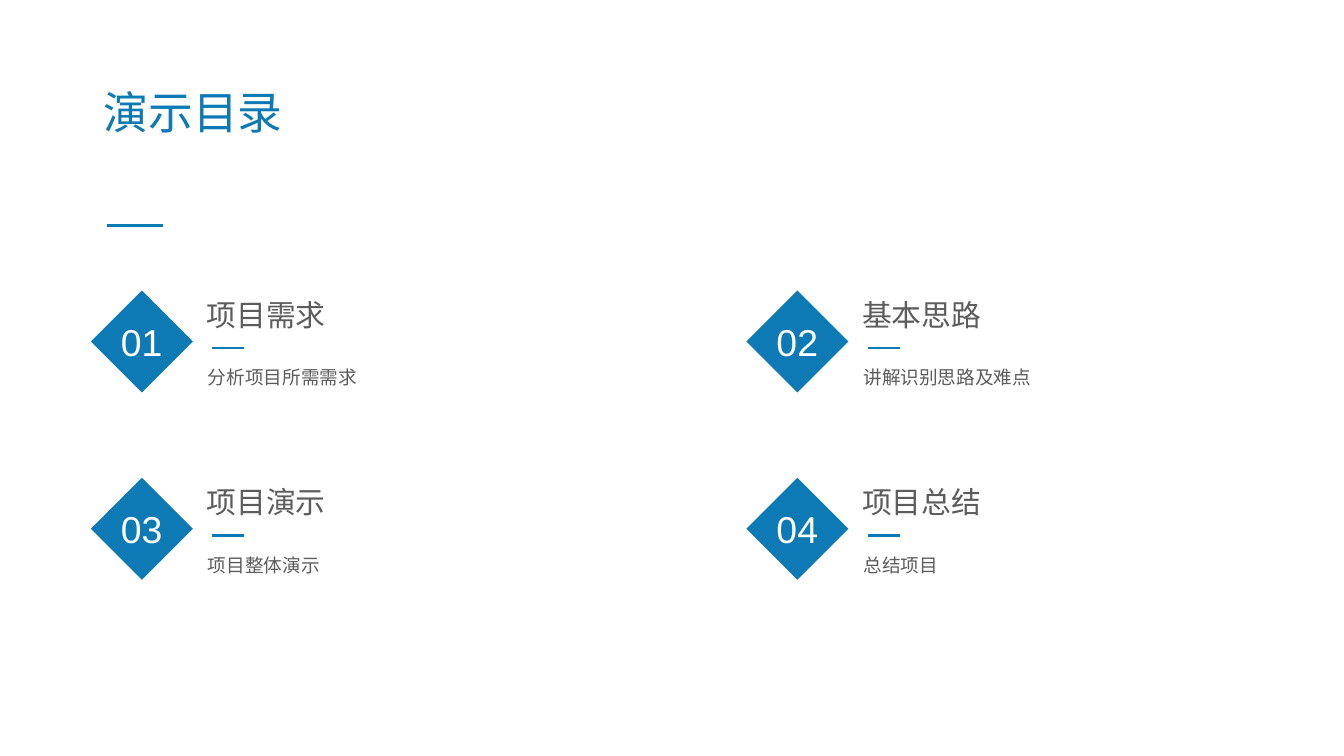
from lxml.etree import SubElement
from pptx import Presentation
from pptx.dml.color import RGBColor
from pptx.enum.shapes import MSO_CONNECTOR, MSO_SHAPE
from pptx.enum.text import MSO_ANCHOR, MSO_AUTO_SIZE, PP_ALIGN
from pptx.oxml.ns import qn
from pptx.util import Cm, Pt

BLUE = "0D7AB5"
GRAY = "5C5C5C"
WHITE = "FFFFFF"
FONT = "Arial"

TOPICS = [
    ("项目需求", "分析项目所需需求"),
    ("基本思路", "讲解识别思路及难点"),
    ("项目演示", "项目整体演示"),
    ("项目总结", "总结项目"),
]
COLUMNS = 2
GRID_LEFT, GRID_TOP = 2.29, 7.32
COLUMN_STEP, ROW_STEP = 16.52, 4.72
DIAMOND_SIZE = 2.57


def color(value):
    return RGBColor.from_string(value)


def add_run(paragraph, text, size, fill):
    run = paragraph.add_run()
    run.text = text
    run.font.name = FONT
    run.font.size = Pt(size)
    run.font.color.rgb = color(fill)


def add_text(slide, box, text, size, fill, wrap=False, line_spacing=None):
    shape = slide.shapes.add_textbox(*(Cm(length) for length in box))
    frame = shape.text_frame
    frame.word_wrap = wrap
    frame.auto_size = MSO_AUTO_SIZE.SHAPE_TO_FIT_TEXT
    paragraph = frame.paragraphs[0]
    paragraph.line_spacing = line_spacing
    add_run(paragraph, text, size, fill)


def add_rule(slide, left, top, length):
    """Draw a short horizontal accent line."""
    line = slide.shapes.add_connector(
        MSO_CONNECTOR.STRAIGHT, Cm(left), Cm(top), Cm(left + length), Cm(top))
    line.line.color.rgb = color(BLUE)
    line.line.width = Pt(2)
    SubElement(line._element.spPr, qn("a:effectLst"))


def add_number_diamond(slide, left, top, number):
    shape = slide.shapes.add_shape(
        MSO_SHAPE.DIAMOND, Cm(left), Cm(top), Cm(DIAMOND_SIZE), Cm(DIAMOND_SIZE))
    shape.shadow.inherit = False
    shape.fill.solid()
    shape.fill.fore_color.rgb = color(BLUE)
    shape.line.fill.background()
    frame = shape.text_frame
    frame.word_wrap = False
    frame.vertical_anchor = MSO_ANCHOR.MIDDLE
    paragraph = frame.paragraphs[0]
    paragraph.alignment = PP_ALIGN.CENTER
    add_run(paragraph, f"{number:02d}", 26.7, WHITE)


def add_header(slide, left, top):
    add_text(slide, (left, top, 5.08, 1.63), "演示目录", 32, BLUE)
    add_rule(slide, left + 0.33, top + 3.68, 1.42)


def add_topic(slide, left, top, number, heading, detail):
    add_number_diamond(slide, left, top, number)
    add_text(slide, (left + 2.67, top + 0.03, 3.56, 1.17), heading, 21.3, GRAY)
    add_rule(slide, left + 3.06, top + 1.45, 0.8)
    add_text(slide, (left + 2.7, top + 1.5, 11.07, 1.02), detail, 13.3, GRAY,
             wrap=True, line_spacing=1.5)


def add_contents_slide(presentation):
    slide = presentation.slides.add_slide(presentation.slide_layouts[6])
    add_header(slide, 2.36, 2.01)
    for index, (heading, detail) in enumerate(TOPICS):
        row, column = divmod(index, COLUMNS)
        add_topic(slide, GRID_LEFT + column * COLUMN_STEP,
                  GRID_TOP + row * ROW_STEP, index + 1, heading, detail)


def main():
    presentation = Presentation()
    presentation.slide_width = Cm(33.87)
    presentation.slide_height = Cm(19.05)
    add_contents_slide(presentation)
    presentation.save("out.pptx")


if __name__ == "__main__":
    main()
